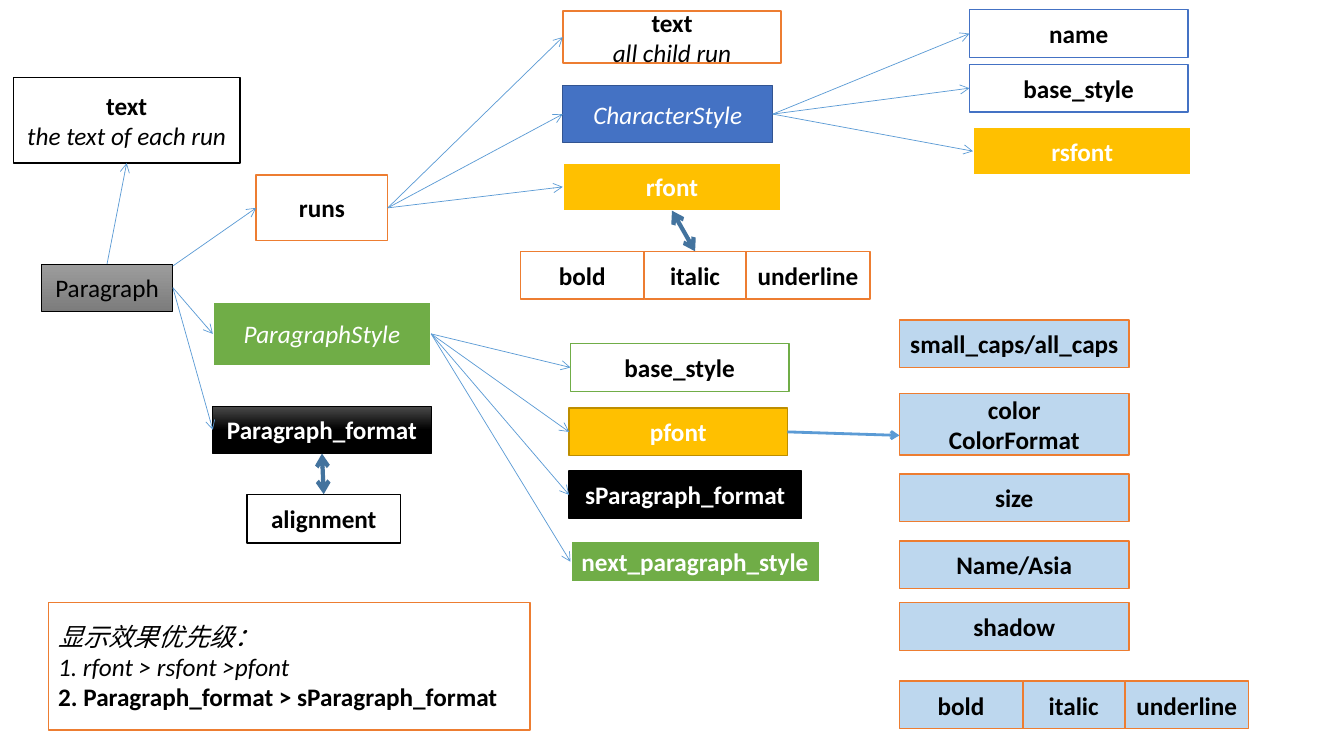
from dataclasses import dataclass

from lxml import etree
from pptx import Presentation
from pptx.dml.color import RGBColor
from pptx.enum.shapes import MSO_CONNECTOR, MSO_SHAPE
from pptx.enum.text import MSO_ANCHOR, PP_ALIGN
from pptx.oxml.ns import qn
from pptx.util import Pt

RECTANGLE = MSO_SHAPE.RECTANGLE
STRAIGHT = MSO_CONNECTOR.STRAIGHT
MIDDLE = MSO_ANCHOR.MIDDLE
LEFT_ALIGN, CENTER_ALIGN = PP_ALIGN.LEFT, PP_ALIGN.CENTER
TOP, LEFT, BOTTOM, RIGHT = range(4)  # connection sites of a rectangle
BOLD, ITALIC, PLAIN = "bold", "italic", "plain"


@dataclass(frozen=True)
class Theme:
    font: str = "Calibri"
    size: int = 18
    black: str = "000000"
    white: str = "FFFFFF"
    orange: str = "ED7D31"
    green: str = "70AD47"
    blue: str = "4472C4"
    dark_blue: str = "325491"
    gold: str = "FFC000"
    dark_gold: str = "BD8E00"
    pale_blue: str = "BDD7EE"
    arrow: str = "5B9BD5"
    double_arrow: str = "43739E"
    gray_gradient: tuple = (("9D9D9D", 0), ("7C7C7C", 1))
    black_gradient: tuple = (("4B4B4B", 0), ("000000", 0.5))


@dataclass(frozen=True)
class BoxStyle:
    fill: str | tuple
    line: str
    text: str = Theme.black
    line_width: float = 1


THEME = Theme()
BLACK_OUTLINE = BoxStyle(THEME.white, THEME.black)
ORANGE_OUTLINE = BoxStyle(THEME.white, THEME.orange)
BLUE_OUTLINE = BoxStyle(THEME.white, THEME.blue)
GREEN_OUTLINE = BoxStyle(THEME.white, THEME.green)
GRAY = BoxStyle(THEME.gray_gradient, THEME.black, line_width=0.5)
SHADED_BLACK = BoxStyle(THEME.black_gradient, THEME.black, THEME.white, 0.5)
BLACK = BoxStyle(THEME.black, THEME.black, THEME.white)
GREEN = BoxStyle(THEME.green, THEME.white, THEME.white, 1.5)
BLUE = BoxStyle(THEME.blue, THEME.dark_blue, THEME.white)
GOLD = BoxStyle(THEME.gold, THEME.white, THEME.white, 1.5)
EDGED_GOLD = BoxStyle(THEME.gold, THEME.dark_gold, THEME.white)
PALE_BLUE = BoxStyle(THEME.pale_blue, THEME.orange)


def rgb(value):
    return RGBColor.from_string(value)


def paint(fill, paint_value):
    """Apply one colour, or a top-to-bottom gradient given as (colour, position) pairs."""
    if isinstance(paint_value, str):
        fill.solid()
        fill.fore_color.rgb = rgb(paint_value)
        return
    fill.gradient()
    fill.gradient_angle = 270
    for stop, (color, position) in zip(fill.gradient_stops, paint_value):
        stop.color.rgb = rgb(color)
        stop.position = position


def add_box(shapes, box, style, *lines, align=CENTER_ALIGN):
    """Add a rectangle; each line is bold text or a (text, emphasis) pair."""
    shape = shapes.add_shape(RECTANGLE, *map(Pt, box))
    shape.shadow.inherit = False
    paint(shape.fill, style.fill)
    shape.line.color.rgb = rgb(style.line)
    shape.line.width = Pt(style.line_width)
    frame = shape.text_frame
    frame.word_wrap = True
    frame.vertical_anchor = MIDDLE
    for index, line in enumerate(lines):
        text, emphasis = (line, BOLD) if isinstance(line, str) else line
        paragraph = frame.add_paragraph() if index else frame.paragraphs[0]
        paragraph.text = text
        paragraph.alignment = align
        font = paragraph.font
        font.name, font.size = THEME.font, Pt(THEME.size)
        font.bold, font.italic = emphasis == BOLD, emphasis == ITALIC
        font.color.rgb = rgb(style.text)
    return shape


def site_point(shape, site):
    across = {LEFT: 0, RIGHT: shape.width}.get(site, shape.width // 2)
    down = {TOP: 0, BOTTOM: shape.height}.get(site, shape.height // 2)
    return shape.left + across, shape.top + down


def add_arrow(shapes, start, end, color=THEME.arrow, width=0.5, double=False):
    """Join two ends, each a (shape, site) pair or a (x, y) point in points."""
    glued = [not isinstance(place[0], (int, float)) for place in (start, end)]
    points = [site_point(*place) if is_glued else tuple(map(Pt, place))
              for place, is_glued in zip((start, end), glued)]
    connector = shapes.add_connector(STRAIGHT, *points[0], *points[1])
    if glued[0]:
        connector.begin_connect(*start)
    if glued[1]:
        connector.end_connect(*end)
    connector.line.color.rgb = rgb(color)
    connector.line.width = Pt(width)
    line = connector.line._get_or_add_ln()
    for tag in ("a:headEnd", "a:tailEnd") if double else ("a:tailEnd",):
        etree.SubElement(line, qn(tag), type="arrow")
    etree.SubElement(connector._element.spPr, qn("a:effectLst"))


def add_double_arrow(shapes, start, end):
    add_arrow(shapes, start, end, THEME.double_arrow, 3, double=True)


def add_fan(shapes, source, targets):
    for target in targets:
        add_arrow(shapes, (source, RIGHT), (target, LEFT))


def add_emphasis_row(shapes, left, top, style):
    """Add the bold, italic and underline cells side by side."""
    cells = []
    for text, width in (("bold", 88), ("italic", 72.5), ("underline", 88.5)):
        cells.append(add_box(shapes, (left, top, width, 34), style, text))
        left += width + 0.25
    return cells


def add_paragraph_region(shapes, left, top):
    paragraph = add_box(shapes, (left + 20, top + 133, 94, 34), GRAY, ("Paragraph", PLAIN))
    text = add_box(shapes, (left, top, 162, 61), BLACK_OUTLINE,
                   "text", ("the text of each run", ITALIC))
    runs = add_box(shapes, (left + 173.5, top + 69.5, 94, 47), ORANGE_OUTLINE, "runs")
    style = add_box(shapes, (left + 142.5, top + 160, 156, 46), GREEN, ("ParagraphStyle", ITALIC))
    layout = add_box(shapes, (left + 142.5, top + 234.5, 156, 34), SHADED_BLACK,
                     "Paragraph_format")
    alignment = add_box(shapes, (left + 167, top + 297.5, 109.5, 35), BLACK_OUTLINE, "alignment")
    add_arrow(shapes, (paragraph, TOP), (text, BOTTOM))
    add_arrow(shapes, (left + 114, top + 134.5), (runs, LEFT))
    add_fan(shapes, paragraph, (style, layout))
    add_double_arrow(shapes, (layout, BOTTOM), (alignment, TOP))
    return runs, style


def add_runs_region(shapes, left, top, runs):
    text = add_box(shapes, (left, top, 156, 37), ORANGE_OUTLINE,
                   "text", ("all child run", ITALIC))
    style = add_box(shapes, (left, top + 53, 150, 41), BLUE, ("CharacterStyle", ITALIC))
    rfont = add_box(shapes, (left, top + 108.5, 156, 34), GOLD, "rfont")
    emphasis = shapes.add_group_shape().shapes
    italic = add_emphasis_row(emphasis, left - 30, top + 171.5, ORANGE_OUTLINE)[1]
    add_fan(shapes, runs, (text, style, rfont))
    add_double_arrow(shapes, (rfont, BOTTOM), (italic, TOP))
    return style


def add_character_style_region(shapes, left, top, style):
    add_fan(shapes, style, (
        add_box(shapes, (left, top, 156, 34), BLUE_OUTLINE, "name"),
        add_box(shapes, (left, top + 39, 156, 34), BLUE_OUTLINE, "base_style"),
        add_box(shapes, (left + 2.5, top + 84, 156, 34), GOLD, "rsfont")))


def add_paragraph_style_region(shapes, left, top, style):
    base = add_box(shapes, (left + 1, top, 156, 34), GREEN_OUTLINE, "base_style")
    pfont = add_box(shapes, (left, top + 46, 156, 34), EDGED_GOLD, "pfont")
    layout = add_box(shapes, (left, top + 91, 166, 34), BLACK, "sParagraph_format")
    following = add_box(shapes, (left + 1, top + 141, 178, 29.5), GREEN, "next_paragraph_style")
    add_fan(shapes, style, (base, pfont, layout, following))
    return pfont


def add_font_region(shapes, left, top, pfont):
    group = shapes.add_group_shape().shapes
    for offset, height, lines in ((0, 34, ("small_caps/all_caps",)),
                                  (52.5, 44, ("color", "ColorFormat")),
                                  (110, 34, ("size",)),
                                  (158, 34, ("Name/Asia",)),
                                  (202, 34, ("shadow",))):
        add_box(group, (left, top + offset, 164, height), PALE_BLUE, *lines)
    add_emphasis_row(group, left, top + 258, PALE_BLUE)
    add_arrow(shapes, (pfont, RIGHT), (left, top + 82.5), width=2)


def add_priority_note(shapes, box):
    add_box(shapes, box, ORANGE_OUTLINE, ("显示效果优先级：", ITALIC),
            ("1. rfont > rsfont >pfont", ITALIC),
            "2. Paragraph_format > sParagraph_format", align=LEFT_ALIGN)


def main():
    presentation = Presentation()
    presentation.slide_width, presentation.slide_height = Pt(960), Pt(540)
    slide = presentation.slides.add_slide(presentation.slide_layouts[6])
    shapes = slide.shapes
    runs, paragraph_style = add_paragraph_region(shapes, 9.5, 55.5)
    character_style = add_runs_region(shapes, 402, 8, runs)
    add_character_style_region(shapes, 692.5, 7, character_style)
    pfont = add_paragraph_style_region(shapes, 406.5, 245.5, paragraph_style)
    add_font_region(shapes, 642.5, 228.5, pfont)
    add_priority_note(shapes, (34.5, 430.5, 344, 91))
    presentation.save("out.pptx")


if __name__ == "__main__":
    main()
